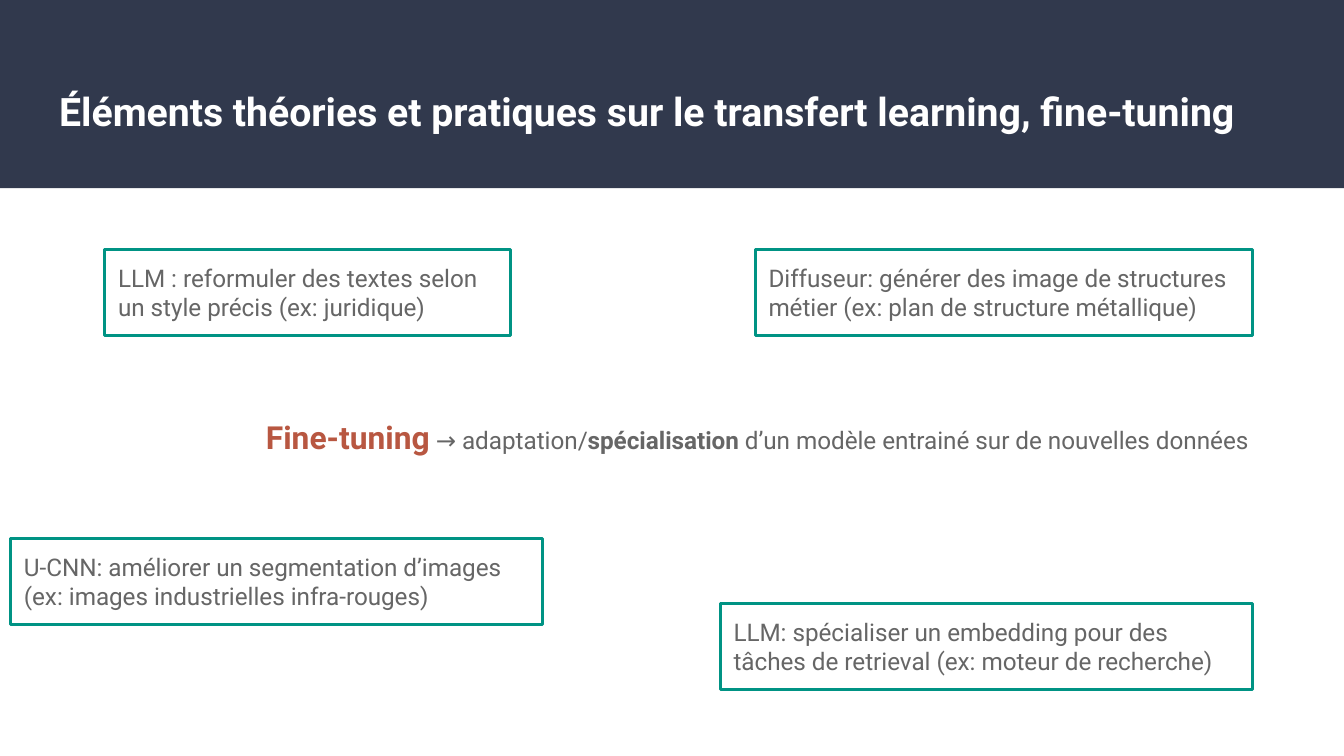
from dataclasses import dataclass

from pptx import Presentation
from pptx.dml.color import RGBColor
from pptx.enum.shapes import MSO_SHAPE as Shape
from pptx.enum.text import MSO_ANCHOR as Anchor, MSO_AUTO_SIZE as AutoSize, PP_ALIGN as Align
from pptx.util import Inches, Pt


@dataclass(frozen=True)
class Theme:
    font: str = "Roboto"
    navy: RGBColor = RGBColor(0x31, 0x39, 0x4D)
    white: RGBColor = RGBColor(0xFF, 0xFF, 0xFF)
    grey: RGBColor = RGBColor(0x66, 0x66, 0x66)
    rust: RGBColor = RGBColor(0xB8, 0x57, 0x41)
    teal: RGBColor = RGBColor(0x00, 0x93, 0x84)
    title_size: Pt = Pt(21)
    keyword_size: Pt = Pt(17)
    body_size: Pt = Pt(13)
    border: Pt = Pt(1.5)


THEME = Theme()

# Content
TITLE = "Éléments théories et pratiques sur le transfert learning, fine-tuning"
KEYWORD = "Fine-tuning"
DEFINITION = [  # text, bold
    (" → adaptation/", False),
    ("spécialisation", True),
    (" d’un modèle entrainé sur de nouvelles données", False),
]
EXAMPLES = [  # text, left, top, width
    ("LLM : reformuler des textes selon un style précis (ex: juridique)", 0.78, 1.86, 3.02),
    ("LLM: spécialiser un embedding pour des tâches de retrieval (ex: moteur de recherche)",
     5.36, 4.49, 3.96),
    ("U-CNN: améliorer un segmentation d’images (ex: images industrielles infra-rouges)",
     0.08, 4.01, 3.96),
    ("Diffuseur: générer des image de structures métier (ex: plan de structure métallique)",
     5.62, 1.86, 3.7),
]
EXAMPLE_HEIGHT = 0.64


def set_font(font, size, color, bold=False):
    font.name, font.size, font.bold = THEME.font, size, bold
    font.color.rgb = color


def prepare_frame(frame, auto_size=AutoSize.NONE):
    """Wrap from the top left with equal insets, and return the first paragraph."""
    frame.word_wrap = True
    frame.auto_size = auto_size
    frame.vertical_anchor = Anchor.TOP
    frame.margin_left = frame.margin_right = Inches(0.1)
    frame.margin_top = frame.margin_bottom = Inches(0.1)
    frame.paragraphs[0].alignment = Align.LEFT
    return frame.paragraphs[0]


def add_rectangle(slide, left, top, width, height):
    rectangle = slide.shapes.add_shape(
        Shape.RECTANGLE, Inches(left), Inches(top), Inches(width), Inches(height))
    rectangle.shadow.inherit = False
    return rectangle


def add_header(slide):
    banner = add_rectangle(slide, 0, 0, 10, 1.4)
    banner.fill.solid()
    banner.fill.fore_color.rgb = THEME.navy
    banner.line.fill.background()
    slide.shapes._spTree.insert(2, banner._element)  # behind the title

    title = slide.shapes.title
    title.left, title.top = Inches(0.34), Inches(0.55)
    title.width, title.height = Inches(9.32), Inches(0.68)
    heading = prepare_frame(title.text_frame)
    heading.text = TITLE
    set_font(heading.font, THEME.title_size, THEME.white, bold=True)


def add_definition(slide):
    definition = slide.shapes.add_textbox(Inches(1.88), Inches(3.01), Inches(7.61), Inches(0.49))
    sentence = prepare_frame(definition.text_frame, AutoSize.SHAPE_TO_FIT_TEXT)
    keyword = sentence.add_run()
    keyword.text = KEYWORD
    set_font(keyword.font, THEME.keyword_size, THEME.rust, bold=True)
    for text, bold in DEFINITION:
        part = sentence.add_run()
        part.text = text
        set_font(part.font, THEME.body_size, THEME.grey, bold)


def add_example(slide, text, left, top, width):
    example = add_rectangle(slide, left, top, width, EXAMPLE_HEIGHT)
    example.fill.background()
    example.line.color.rgb = THEME.teal
    example.line.width = THEME.border
    description = prepare_frame(example.text_frame, AutoSize.SHAPE_TO_FIT_TEXT)
    description.text = text
    set_font(description.font, THEME.body_size, THEME.grey)


def main():
    deck = Presentation()
    deck.slide_width = Inches(10)
    deck.slide_height = deck.slide_width * 9 // 16  # widescreen
    slide = deck.slides.add_slide(deck.slide_layouts[5])  # title only
    add_header(slide)
    add_definition(slide)
    for example in EXAMPLES:
        add_example(slide, *example)
    deck.save("out.pptx")


if __name__ == "__main__":
    main()
